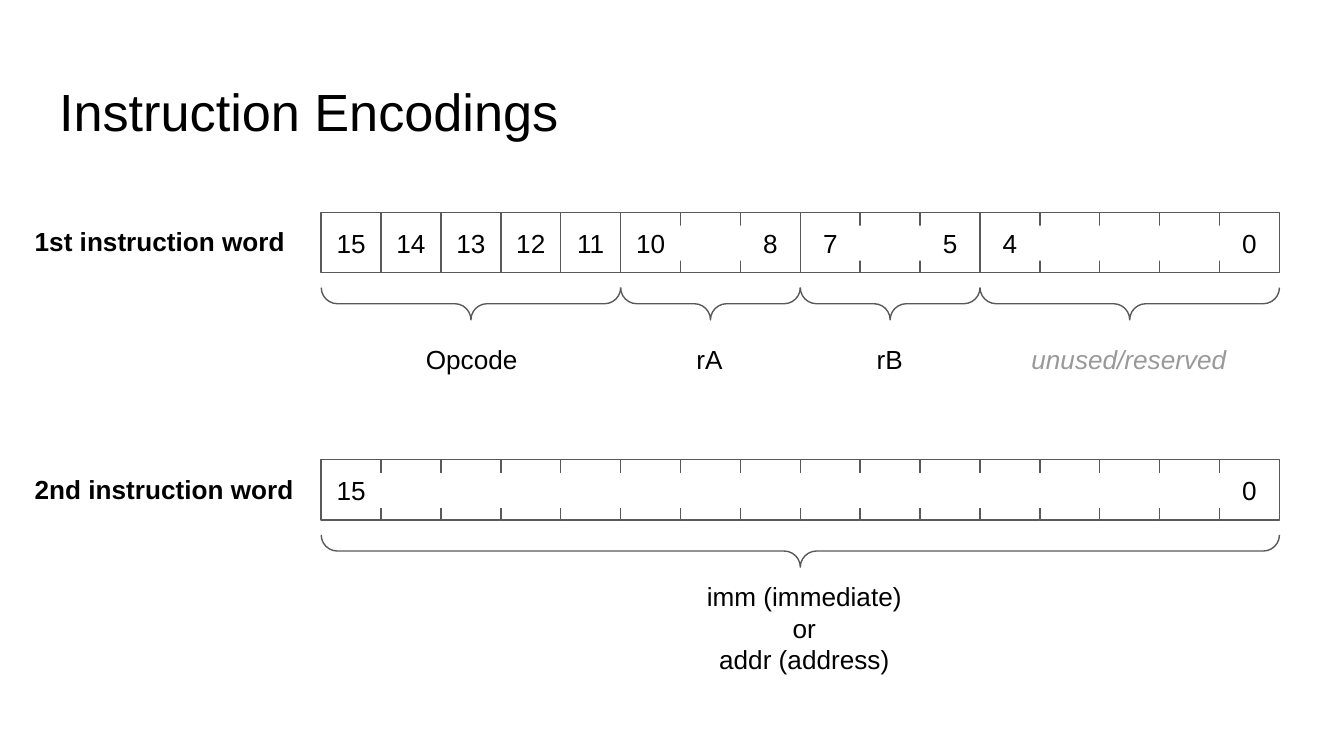
from pptx import Presentation
from pptx.dml.color import RGBColor
from pptx.enum import shapes, text
from pptx.util import Inches, Pt

BLACK = RGBColor(0x00, 0x00, 0x00)
WHITE = RGBColor(0xFF, 0xFF, 0xFF)
GREY = RGBColor(0x59, 0x59, 0x59)
MUTED = RGBColor(0x99, 0x99, 0x99)

BITS = 16
ROW_HEIGHT = 0.45
BRACE_DEPTH = 0.24

# Each field: high bit, low bit, label lines, label left, label width, font
FIRST_FIELDS = [
    (15, 11, ["Opcode"], 3.03, 0.96, {}),
    (10, 8, ["rA"], 4.8, 0.96, {}),
    (7, 5, ["rB"], 6.14, 0.96, {}),
    (4, 0, ["unused/reserved"], 7.39, 2.02, {"italic": True, "color": MUTED}),
]
SECOND_FIELDS = [
    (15, 0, ["imm (immediate)", "or", "addr (address)"], 4.45, 3.07, {}),
]


def write(sp, lines, align=text.PP_ALIGN.CENTER, anchor=text.MSO_ANCHOR.MIDDLE,
          size=14, color=BLACK, **font):
    """Fill a shape with formatted paragraphs."""
    tf = sp.text_frame
    frame = {"word_wrap": True, "auto_size": text.MSO_AUTO_SIZE.NONE,
             "vertical_anchor": anchor}
    for side in ("left", "top", "right", "bottom"):
        frame["margin_" + side] = Inches(0.1)
    for name, value in frame.items():
        setattr(tf, name, value)
    for i, line in enumerate(lines):
        p = tf.paragraphs[0] if i == 0 else tf.add_paragraph()
        p.alignment = align
        r = p.add_run()
        r.text = line
        for name, value in {"name": "Arial", "size": Pt(size), **font}.items():
            setattr(r.font, name, value)
        r.font.color.rgb = color


def add_text(s, box, lines, **style):
    write(s.shapes.add_textbox(*map(Inches, box)), lines, **style)


def add_shape(s, kind, box, fill=None, line=None):
    sp = s.shapes.add_shape(kind, *map(Inches, box))
    sp.shadow.inherit = False
    if fill is None:
        sp.fill.background()
    else:
        sp.fill.solid()
        sp.fill.fore_color.rgb = fill
    if line is None:
        sp.line.fill.background()
    else:
        sp.line.color.rgb = line
        sp.line.width = Pt(0.75)
    return sp


def add_title(s, box, title):
    sp = s.shapes.title
    sp.left, sp.top, sp.width, sp.height = map(Inches, box)
    write(sp, [title], align=text.PP_ALIGN.LEFT,
          anchor=text.MSO_ANCHOR.TOP, size=28)


def add_brace(s, center_x, center_y, span):
    """Add a brace of the given span that points down."""
    sp = add_shape(s, shapes.MSO_SHAPE.LEFT_BRACE,
                   (center_x - BRACE_DEPTH / 2, center_y - span / 2,
                    BRACE_DEPTH, span), line=GREY)
    sp.adjustments[0] = sp.adjustments[1] = 0.5
    sp.rotation = 270


def add_word(s, box, heading, fields, numbered):
    """Draw one instruction word with its bit cells, braces and labels."""
    left, top, width, height = box
    cell = width / BITS
    rect = shapes.MSO_SHAPE.RECTANGLE

    def bit_left(bit):
        return left + (BITS - 1 - bit) * cell

    # Bit cells
    for bit in range(BITS - 1, -1, -1):
        sp = add_shape(s, rect, (bit_left(bit), top, cell, height), line=GREY)
        if bit in numbered:
            write(sp, [str(bit)])

    # White strips that leave only tick marks between unnumbered bits
    for high, low, *_ in fields:
        if high - 1 not in numbered:
            start, end = bit_left(high - 1) - 0.05, bit_left(low) + 0.08
            add_shape(s, rect, (start, top + 0.1, end - start, 0.26), fill=WHITE)

    # Braces and field labels
    for high, low, lines, label_left, label_width, font in fields:
        span = (high - low + 1) * cell
        add_brace(s, bit_left(high) + span / 2, top + 0.68, span)
        label_height = 0.45 if len(lines) == 1 else 0.76
        add_text(s, (label_left, top + 0.87, label_width, label_height),
                 lines, **font)

    # Row heading
    add_text(s, (left - 2.23, top, 2.22, height), [heading], bold=True,
             align=text.PP_ALIGN.LEFT, anchor=text.MSO_ANCHOR.TOP)


def main():
    prs = Presentation()
    # Widescreen, 16:9
    prs.slide_width = Inches(10)
    prs.slide_height = prs.slide_width * 9 // 16
    s = prs.slides.add_slide(prs.slide_layouts[5])
    add_title(s, (0.34, 0.49, 9.32, 0.63), "Instruction Encodings")
    add_word(s, (2.39, 1.58, 7.13, ROW_HEIGHT), "1st instruction word",
             FIRST_FIELDS, {15, 14, 13, 12, 11, 10, 8, 7, 5, 4, 0})
    add_word(s, (2.39, 3.42, 7.13, ROW_HEIGHT), "2nd instruction word",
             SECOND_FIELDS, {15, 0})
    prs.save("out.pptx")


if __name__ == "__main__":
    main()
